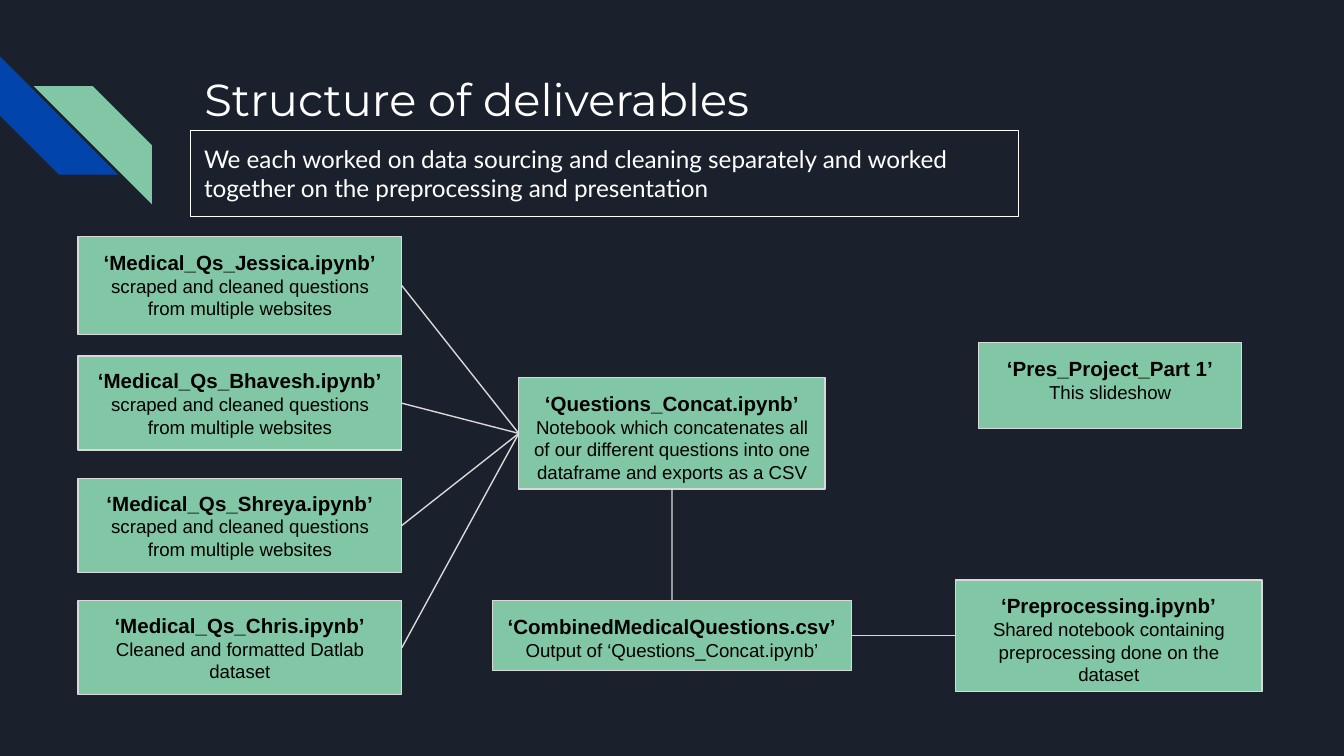
from pptx import Presentation
from pptx import util as u
from pptx.dml.color import RGBColor
from pptx.enum import shapes, text
from pptx.oxml.ns import qn
from lxml import etree

COLORS = {
    "background": "1B212C", "blue": "0145AC", "green": "82C7A5",
    "border": "D9D9D9", "white": "FFFFFF", "black": "000000",
}
TITLE_FONT = {"name": "Montserrat", "size": u.Pt(24), "bold": False}
SUMMARY_FONT = {"name": "Lato", "size": u.Pt(13), "bold": False}
FILE_FONT = {"name": "Arial", "size": u.Pt(11), "bold": True}
DETAIL_FONT = {"name": "Arial", "size": u.Pt(10), "bold": False}
TOP, LEFT, BOTTOM, RIGHT = range(4)  # connection sites of a rectangle

SLIDE_WIDTH = 10
SLIDE_HEIGHT = SLIDE_WIDTH * 9 / 16
CENTER_X = SLIDE_WIDTH / 2  # axis of the concat and combined boxes
OUTPUT_Y = 4.73  # axis of the combined and preprocessing boxes

SCRAPED = "scraped and cleaned questions from multiple websites"
SOURCE_LEFT, SOURCE_WIDTH = 0.58, 2.41
SOURCES = [  # top, height, file, detail, anchor
    (1.76, 0.73, "‘Medical_Qs_Jessica.ipynb’", SCRAPED, "TOP"),
    (2.65, 0.7, "‘Medical_Qs_Bhavesh.ipynb’", SCRAPED, "MIDDLE"),
    (3.56, 0.7, "‘Medical_Qs_Shreya.ipynb’", SCRAPED, "MIDDLE"),
    (4.47, 0.7, "‘Medical_Qs_Chris.ipynb’",
     "Cleaned and formatted Datlab dataset", "MIDDLE"),
]


def color(name):
    return RGBColor.from_string(COLORS[name])


def inches(*values):
    return [u.Inches(value) for value in values]


def format_frame(frame, anchor="TOP"):
    settings = {
        "word_wrap": True,
        "auto_size": text.MSO_AUTO_SIZE.NONE,
        "vertical_anchor": text.MSO_ANCHOR[anchor],
    }
    for side in ("left", "top", "right", "bottom"):
        settings["margin_" + side] = u.Inches(0.1)
    for name, value in settings.items():
        setattr(frame, name, value)


def write(paragraph, words, font, font_color, align="LEFT"):
    paragraph.alignment = text.PP_ALIGN[align]
    run = paragraph.add_run()
    run.text = words
    for name, value in font.items():
        setattr(run.font, name, value)
    run.font.color.rgb = color(font_color)


def add_shape(slide, kind, box, fill=None, line=None):
    shape = slide.shapes.add_shape(kind, *inches(*box))
    shape.shadow.inherit = False
    if fill:
        shape.fill.solid()
        shape.fill.fore_color.rgb = color(fill)
    else:
        shape.fill.background()
    if line:
        shape.line.color.rgb = color(line)
        shape.line.width = u.Pt(0.75)
    else:
        shape.line.fill.background()
    return shape


def add_stripes(slide):
    stripe = shapes.MSO_SHAPE.DIAGONAL_STRIPE
    blue = add_shape(slide, stripe, (0, 0.42, 0.88, 0.88), "blue")
    blue.rotation = 270
    green = add_shape(slide, stripe, (0.25, 0.64, 0.88, 0.88), "green")
    green.element.spPr.find(qn("a:xfrm")).set("flipH", "1")


def add_title(slide, words):
    title = slide.shapes.title
    title.left, title.top, title.width, title.height = inches(1.42, 0.43, 7.7, 1)
    format_frame(title.text_frame)
    write(title.text_frame.paragraphs[0], words, TITLE_FONT, "white")


def add_summary(slide, words):
    box = add_shape(slide, shapes.MSO_SHAPE.RECTANGLE,
                    (1.42, 0.97, 6.16, 0.64), line="white")
    format_frame(box.text_frame)
    write(box.text_frame.paragraphs[0], words, SUMMARY_FONT, "white")


def add_file_box(slide, box, file_name, detail, anchor="TOP"):
    shape = add_shape(slide, shapes.MSO_SHAPE.RECTANGLE, box, "green", "border")
    frame = shape.text_frame
    format_frame(frame, anchor)
    write(frame.paragraphs[0], file_name, FILE_FONT, "black", "CENTER")
    write(frame.add_paragraph(), detail, DETAIL_FONT, "black", "CENTER")
    return shape


def connect(slide, start, start_site, end, end_site):
    line = slide.shapes.add_connector(shapes.MSO_CONNECTOR.STRAIGHT, 0, 0, 0, 0)
    line.begin_connect(start, start_site)
    line.end_connect(end, end_site)
    line.line.color.rgb = color("border")
    line.line.width = u.Pt(0.75)
    etree.SubElement(line.element.spPr, qn("a:effectLst"))


def main():
    presentation = Presentation()
    presentation.slide_width, presentation.slide_height = inches(
        SLIDE_WIDTH, SLIDE_HEIGHT)
    slide = presentation.slides.add_slide(presentation.slide_layouts[5])
    slide.background.fill.solid()
    slide.background.fill.fore_color.rgb = color("background")

    add_stripes(slide)
    add_title(slide, "Structure of deliverables")
    add_summary(slide, "We each worked on data sourcing and cleaning separately "
                       "and worked together on the preprocessing and presentation")

    concat = add_file_box(
        slide, (CENTER_X - 2.28 / 2, 2.81, 2.28, 0.83),
        "‘Questions_Concat.ipynb’",
        "Notebook which concatenates all of our different questions into one "
        "dataframe and exports as a CSV")
    combined = add_file_box(
        slide, (CENTER_X - 2.67 / 2, OUTPUT_Y - 0.52 / 2, 2.67, 0.52),
        "‘CombinedMedicalQuestions.csv’", "Output of ‘Questions_Concat.ipynb’")
    preprocessing = add_file_box(
        slide, (7.11, OUTPUT_Y - 0.83 / 2, 2.28, 0.83), "‘Preprocessing.ipynb’",
        "Shared notebook containing preprocessing done on the dataset")
    add_file_box(slide, (7.28, 2.55, 1.96, 0.64),
                 "‘Pres_Project_Part 1’", "This slideshow")

    for top, height, file_name, detail, anchor in SOURCES:
        box = (SOURCE_LEFT, top, SOURCE_WIDTH, height)
        source = add_file_box(slide, box, file_name, detail, anchor)
        connect(slide, source, RIGHT, concat, LEFT)
    connect(slide, concat, BOTTOM, combined, TOP)
    connect(slide, combined, RIGHT, preprocessing, LEFT)

    presentation.save("out.pptx")


if __name__ == "__main__":
    main()
